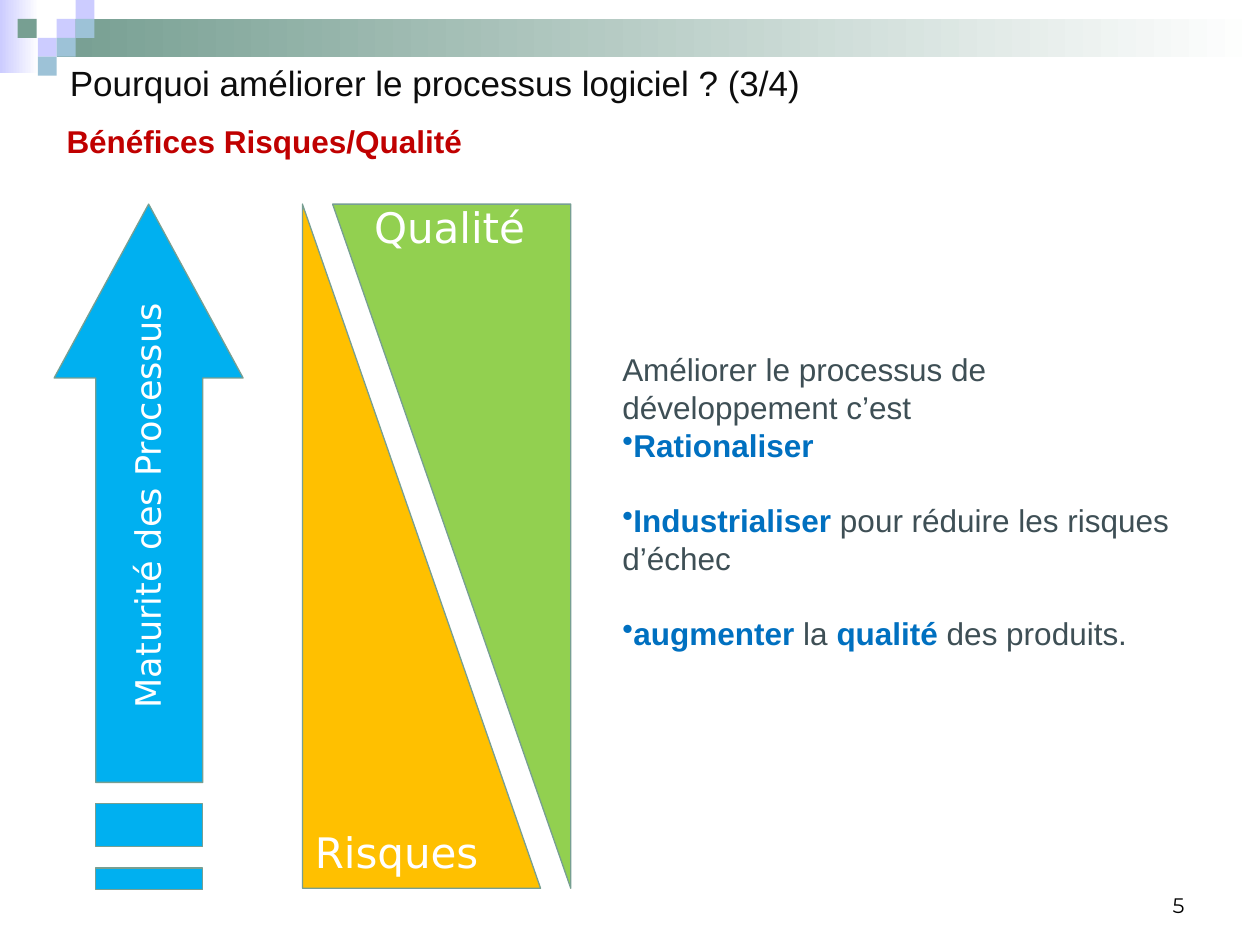
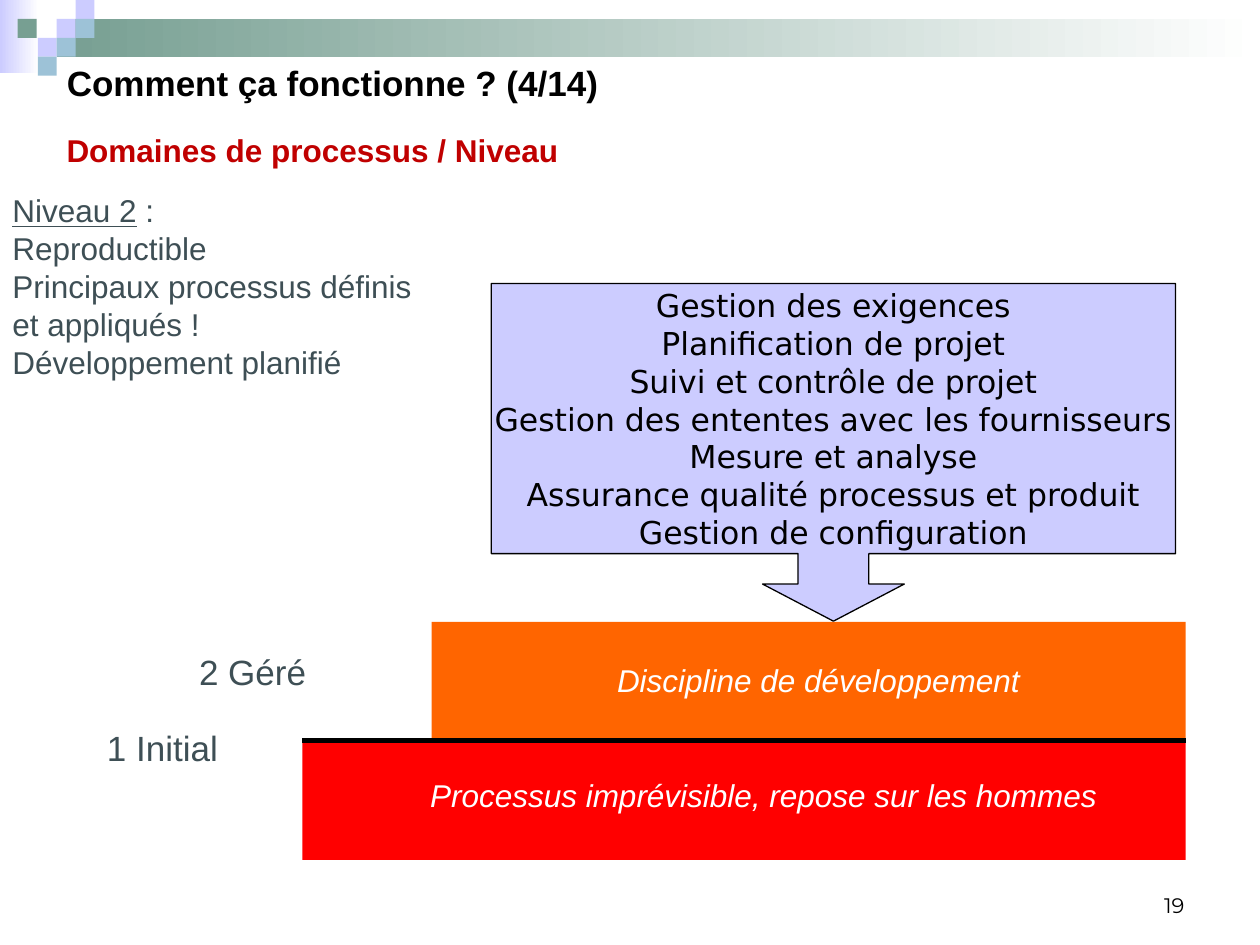
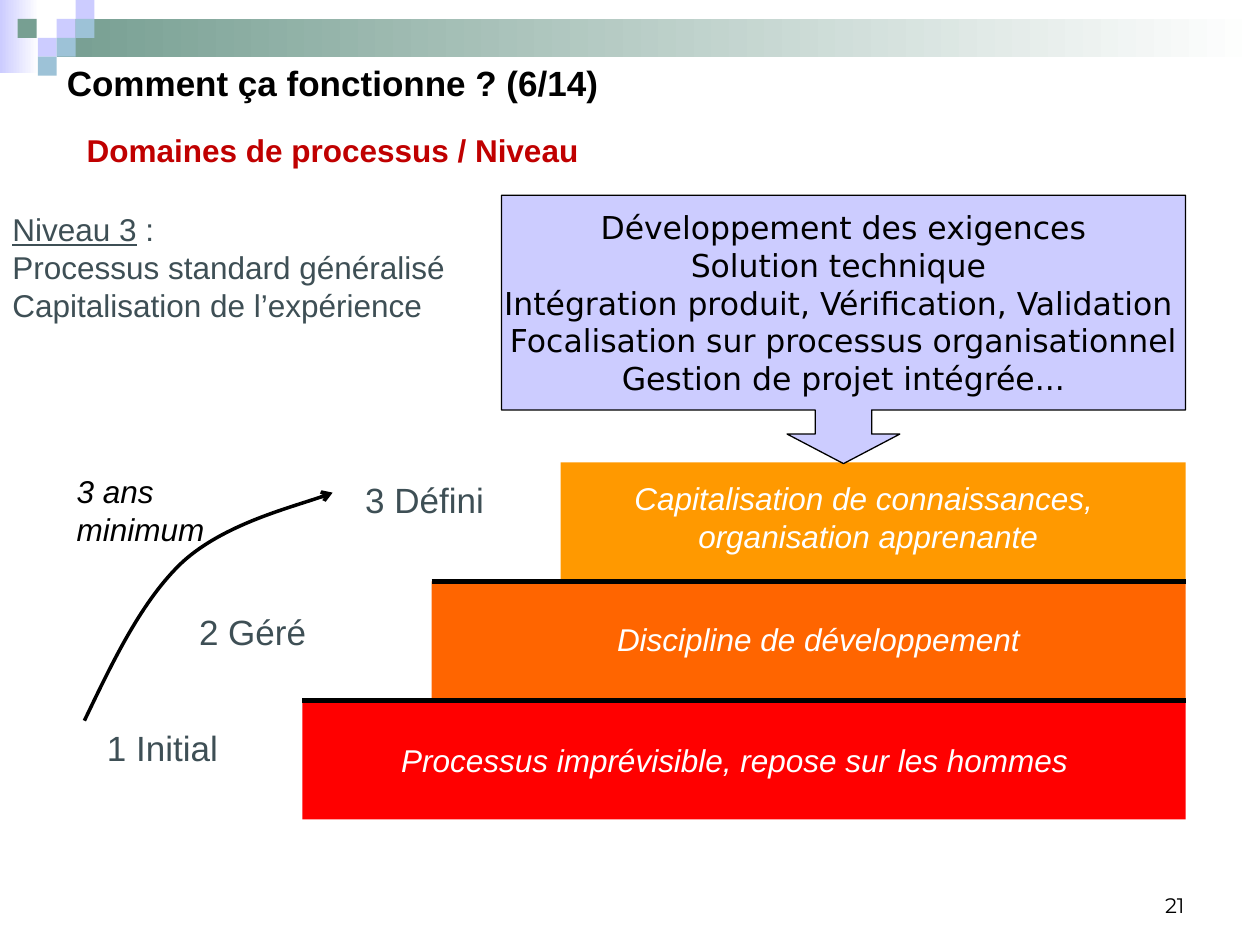
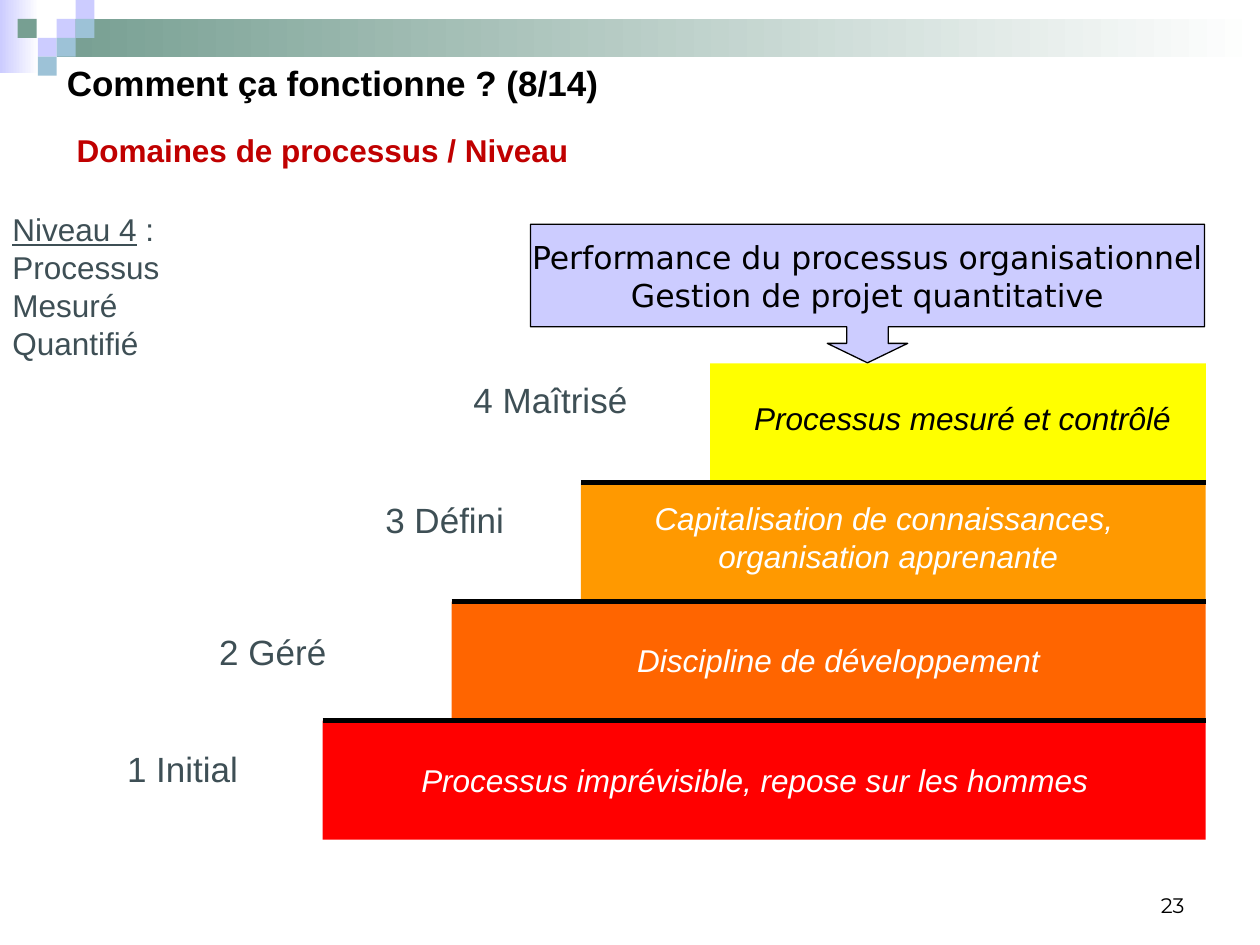
from dataclasses import dataclass, replace

from pptx import Presentation
from pptx import util as u
from pptx.dml.color import RGBColor
from pptx.enum import shapes, text
from pptx.oxml.ns import qn
from pptx.oxml.xmlchemy import OxmlElement

PX = 9144  # EMU per px, 100 px to the inch

BLACK = RGBColor(0x00, 0x00, 0x00)
WHITE = RGBColor(0xFF, 0xFF, 0xFF)
INK = RGBColor(0x0D, 0x0D, 0x0D)
SLATE = RGBColor(0x3E, 0x4F, 0x55)
CRIMSON = RGBColor(0xC0, 0x00, 0x00)
BLUE = RGBColor(0x00, 0x70, 0xC0)
SKY = RGBColor(0x00, 0xB0, 0xF0)
AMBER = RGBColor(0xFF, 0xC0, 0x00)
GREEN = RGBColor(0x92, 0xD0, 0x50)
LAVENDER = RGBColor(0xCC, 0xCC, 0xFF)
SAGE = RGBColor(0x77, 0x9F, 0x92)
MIST = RGBColor(0x9D, 0xC2, 0xD7)
RED = RGBColor(0xFF, 0x00, 0x00)
ORANGE = RGBColor(0xFF, 0x65, 0x00)
TANGERINE = RGBColor(0xFF, 0x99, 0x00)
YELLOW = RGBColor(0xFF, 0xFF, 0x00)

LEFT, CENTER, RIGHT = text.PP_ALIGN.LEFT, text.PP_ALIGN.CENTER, text.PP_ALIGN.RIGHT
TOP, MIDDLE, BOTTOM = (text.MSO_ANCHOR.TOP, text.MSO_ANCHOR.MIDDLE,
                       text.MSO_ANCHOR.BOTTOM)
SHAPE = shapes.MSO_SHAPE


@dataclass(frozen=True)
class Style:
    size: int
    color: RGBColor
    font: str = "Arial"
    bold: bool = False
    italic: bool = False
    underline: bool = False


TITLE = Style(20, BLACK, bold=True)
SUBTITLE = Style(18, CRIMSON, bold=True)
BODY = Style(18, SLATE)
STRONG = Style(18, BLUE, bold=True)
LABEL = Style(20, SLATE)
CALLOUT = Style(18, BLACK, "DejaVu Sans")
TAG = Style(24, WHITE, "DejaVu Sans")
NUMBER = Style(12, BLACK, "Montserrat")
NOTE = Style(18, BLACK, italic=True)
CAPTION = replace(NOTE, color=WHITE)


@dataclass(frozen=True)
class Level:
    """A maturity step; text boxes are placed from (stair left, step top)."""
    name: str
    name_box: tuple
    caption: tuple
    caption_box: tuple
    fill: RGBColor
    caption_style: Style = CAPTION
    name_align: int = LEFT


INITIAL = Level("1 Initial", (-165, 16, 118, 52),
                ("Processus imprévisible, repose sur les hommes",),
                (24, 27, 638, 52), RED)
MANAGED = Level("2 Géré", (-126, 18, 173, 52), ("Discipline de développement",),
                (142, 26, 535, 52), ORANGE, name_align=CENTER)
DEFINED = Level("3 Défini", (40, 8, 134, 52),
                ("Capitalisation de connaissances, ", "organisation apprenante"),
                (205, 8, 488, 79), TANGERINE)
MASTERED = Level("4 Maîtrisé", (110, 7, 173, 52), ("Processus mesuré et contrôlé",),
                 (315, 23, 386, 63), YELLOW, NOTE)

STAIR_WIDTH, STEP_INSET, STEP_PITCH = 701, 102.5, 94.5


def emu(*lengths):
    return [round(length * PX) for length in lengths]


def plain(lines, style):
    return [[(line, style)] for line in lines]


def write(frame, paragraphs, align=LEFT, anchor=TOP, wrap=True):
    """Fill a text frame; each paragraph is a list of (wording, style)."""
    frame.auto_size = text.MSO_AUTO_SIZE.NONE
    frame.word_wrap = wrap
    frame.vertical_anchor = anchor
    for index, spans in enumerate(paragraphs):
        para = frame.add_paragraph() if index else frame.paragraphs[0]
        para.alignment = align
        for wording, style in spans:
            span = para.add_run()
            span.text = wording
            font = span.font
            font.name, font.size = style.font, u.Pt(style.size)
            font.color.rgb = style.color
            font.bold, font.italic = style.bold, style.italic
            font.underline = style.underline


def add_text(page, at, paragraphs, **layout):
    box = page.shapes.add_textbox(*emu(*at))
    write(box.text_frame, paragraphs, **layout)
    return box


def paint(shape, fill, line=None):
    shape.shadow.inherit = False
    shape.fill.solid()
    shape.fill.fore_color.rgb = fill
    if line is None:
        shape.line.fill.background()
    else:
        shape.line.color.rgb = line
        shape.line.width = u.Pt(0.75)


def add_block(owner, at, fill, line=None, kind=SHAPE.RECTANGLE):
    block = owner.shapes.add_shape(kind, *emu(*at))
    paint(block, fill, line)
    return block


def add_fade(owner, at, color):
    band = add_block(owner, at, color)
    band.fill.gradient()
    band.fill.gradient_angle = 0
    for stop, shade in zip(band.fill.gradient_stops, (color, WHITE)):
        stop.color.rgb = shade


def add_ledge(page, left, right, y):
    ledge = page.shapes.add_connector(shapes.MSO_CONNECTOR.STRAIGHT,
                                      *emu(left, y, right, y))
    ledge.line.color.rgb = BLACK
    ledge.line.width = u.Pt(3)
    ledge.element.spPr.append(OxmlElement("a:effectLst"))


def add_callout(page, at, adjustments, lines):
    callout = add_block(page, at, LAVENDER, BLACK, SHAPE.DOWN_ARROW_CALLOUT)
    for index, value in enumerate(adjustments):
        callout.adjustments[index] = value
    write(callout.text_frame, plain(lines, CALLOUT), CENTER, MIDDLE, wrap=False)


def add_striped_arrow(page):
    left, right, middle = 76, 161, 118
    outline = page.shapes.build_freeform(43, 300, scale=PX)
    outline.add_line_segments([(left, 300), (left, 621), (right, 621), (right, 300),
                               (193, 300), (middle, 162)])
    for top, bottom in ((638, 672), (689, 706)):
        outline.move_to(left, bottom)
        outline.add_line_segments([(right, bottom), (right, top), (left, top)])
    paint(outline.convert_to_shape(), SKY, SAGE)


def add_curved_arrow(page, start, points):
    """Draw cubic curves; each three points are two controls and an end."""
    outline = page.shapes.build_freeform(*start, scale=PX)
    outline.add_line_segments(points, close=False)
    arrow = outline.convert_to_shape()
    arrow.shadow.inherit = False
    arrow.fill.background()
    arrow.line.color.rgb = BLACK
    arrow.line.width = u.Pt(2)
    segments = list(arrow.element.iter(qn("a:lnTo")))
    for first in range(0, len(segments), 3):
        curve = OxmlElement("a:cubicBezTo")
        segments[first].addprevious(curve)
        for segment in segments[first:first + 3]:
            curve.append(segment[0])
            segment.getparent().remove(segment)
    tip = OxmlElement("a:tailEnd")
    tip.set("type", "arrow")
    next(arrow.element.iter(qn("a:ln"))).append(tip)


def add_staircase(page, left, top, levels):
    """Stack the levels upwards; left and top belong to the lowest step."""
    right = left + STAIR_WIDTH
    corners = [(left + STEP_INSET * i, top - STEP_PITCH * i)
               for i in range(len(levels))]
    for (x, y), level in zip(corners, levels):
        add_block(page, (x, y, right - x, STEP_PITCH), level.fill)
    for x, y in corners[:-1]:
        add_ledge(page, x, right, y)
    for (_, y), level in zip(corners, levels):
        dx, dy, width, height = level.caption_box
        add_text(page, (left + dx, y + dy, width, height),
                 plain(level.caption, level.caption_style), align=CENTER)
        dx, dy, width, height = level.name_box
        add_text(page, (left + dx, y + dy, width, height),
                 plain([level.name], LABEL), align=level.name_align)


def add_level_summary(page, at, name, lines):
    heading = [(name, replace(BODY, underline=True)), (" :", BODY)]
    add_text(page, at, [heading] + plain(lines, BODY))


def decorate_layout(layout, page):
    """Draw the top band on a page, then hand it to the shared layout."""
    band = page.shapes.add_group_shape()
    add_fade(band, (0, 0, 31, 58), LAVENDER)
    add_fade(band, (45, 15, 955, 30), SAGE)
    for x, y, color in ((45, 15, LAVENDER), (60, 0, LAVENDER), (60, 15, MIST),
                        (30, 30, LAVENDER), (14, 15, SAGE), (45, 30, MIST),
                        (30, 45, MIST)):
        add_block(band, (x, y, 15, 15), color)
    for number, node in enumerate(band.element.iter(qn("p:cNvPr")), 100):
        node.set("id", str(number))
    layout.shapes.element.append(band.element)


def add_page(deck, number, title, subtitle, subtitle_at,
             title_style=TITLE, title_width=445):
    page = deck.slides.add_slide(deck.slide_layouts[5])
    heading = page.shapes.title
    heading.left, heading.top, heading.width, heading.height = emu(
        43, 44, title_width, 44)
    write(heading.text_frame, plain([title], title_style), wrap=False)
    add_text(page, (*subtitle_at, 414, 40), plain([subtitle], SUBTITLE), wrap=False)
    add_text(page, (717, 683, 233, 50), plain([number], NUMBER),
             align=RIGHT, anchor=BOTTOM)
    return page


def add_level_page(deck, number, part, subtitle_left):
    return add_page(deck, number, f"Comment ça fonctionne ? ({part}/14)",
                    "Domaines de processus / Niveau", (subtitle_left, 99))


def add_benefits(page):
    add_striped_arrow(page)
    maturity = add_text(page, (-75, 359, 383, 43),
                        plain(["Maturité des Processus"], replace(TAG, size=20)),
                        wrap=False)
    maturity.rotation = 270
    add_block(page, (240, 162, 189, 543), AMBER, SAGE, SHAPE.RIGHT_TRIANGLE)
    quality = add_block(page, (264, 162, 189, 543), GREEN, SAGE, SHAPE.RIGHT_TRIANGLE)
    quality.rotation = 180
    add_text(page, (240, 651, 166, 50), plain(["Risques"], TAG), wrap=False)
    add_text(page, (287, 155, 155, 50), plain(["Qualité"], TAG), wrap=False)
    goals = add_text(page, (484, 273, 472, 252), [
        [("Améliorer le processus de développement c’est", BODY)],
        [("Rationaliser", STRONG)],
        [("Industrialiser ", STRONG), ("pour réduire les risques d’échec", BODY)],
        [("augmenter ", STRONG), ("la ", BODY), ("qualité", STRONG),
         (" des produits.", BODY)],
    ])
    bulleted = goals.text_frame.paragraphs[1:]
    for para in bulleted:
        bullet = OxmlElement("a:buChar")
        bullet.set("char", "•")
        para._p.get_or_add_pPr().append(bullet)
    for para in bulleted[1:]:
        para.space_before = u.Pt(21.5)


def main():
    deck = Presentation()
    deck.slide_width, deck.slide_height = emu(1000, 750)

    page = add_page(deck, "5", "Pourquoi améliorer le processus logiciel ? (3/4)",
                    "Bénéfices Risques/Qualité", (43, 92),
                    Style(20, INK), title_width=605)
    page.shapes.title.text_frame.paragraphs[0].alignment = CENTER
    decorate_layout(deck.slide_layouts[5], page)
    add_benefits(page)

    page = add_level_page(deck, "19", 4, 43)
    add_level_summary(page, (0, 147, 500, 162), "Niveau 2", [
        "Reproductible", "Principaux processus définis", "et appliqués !",
        "Développement planifié"])
    lowered = replace(INITIAL, name_box=(-165, -16, 118, 52),
                      caption_box=(47, 23, 638, 52))
    add_staircase(page, 240, 588, [lowered, MANAGED])
    add_callout(page, (390, 225, 543, 268), (0.21, 0.21, 0.11, 0.8), [
        "Gestion des exigences", "Planification de projet",
        "Suivi et contrôle de projet", "Gestion des ententes avec les fournisseurs",
        "Mesure et analyse", "Assurance qualité processus et produit",
        "Gestion de configuration"])

    page = add_level_page(deck, "21", 6, 59)
    add_staircase(page, 240, 556, [INITIAL, MANAGED, DEFINED])
    add_callout(page, (398, 155, 543, 213), (0.21, 0.21, 0.11, 0.8), [
        "Développement des exigences", "Solution technique ",
        "Intégration produit, Vérification, Validation ",
        "Focalisation sur processus organisationnel",
        "Gestion de projet intégrée..."])
    add_curved_arrow(page, (67, 572), [(90, 524), (113, 476), (145, 446),
                                       (178, 416), (245, 399), (264, 391)])
    add_text(page, (51, 370, 181, 37), plain(["3 ans minimum"], NOTE))
    add_level_summary(page, (0, 162, 378, 315), "Niveau 3", [
        "Processus standard généralisé", "Capitalisation de l’expérience"])

    page = add_level_page(deck, "23", 8, 51)
    add_staircase(page, 256, 572, [INITIAL, MANAGED, DEFINED, MASTERED])
    add_callout(page, (421, 178, 535, 110), (0.3, 0.29, 0.14, 0.74), [
        "Performance du processus organisationnel", "Gestion de projet quantitative"])
    add_level_summary(page, (0, 162, 226, 131), "Niveau 4", [
        "Processus", "Mesuré", "Quantifié"])

    deck.save("out.pptx")


if __name__ == "__main__":
    main()
